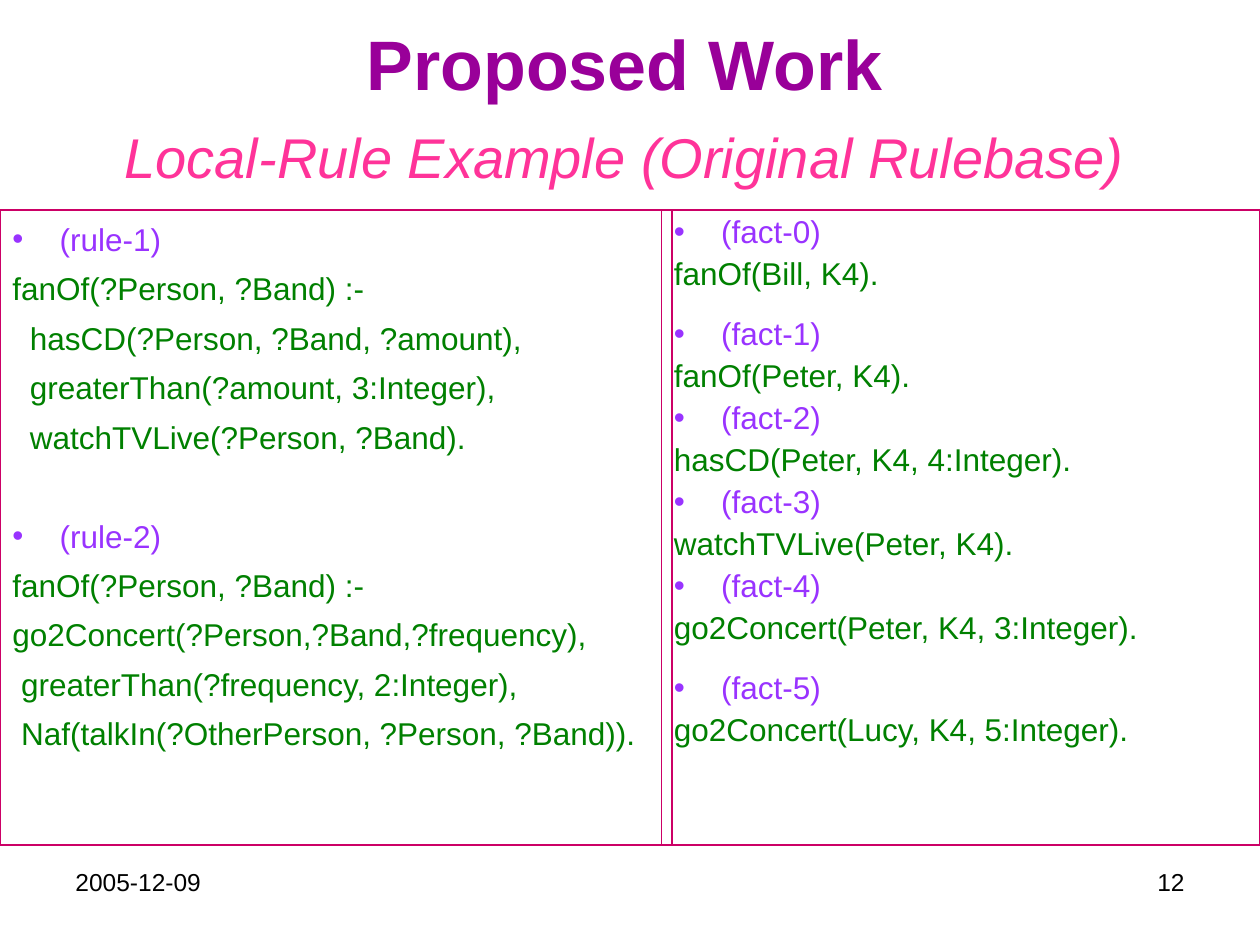
from lxml import etree
from pptx import Presentation
from pptx.dml.color import RGBColor
from pptx.enum.shapes import MSO_SHAPE as SHAPE
from pptx.enum.text import MSO_ANCHOR as ANCHOR, PP_ALIGN as ALIGN
from pptx.oxml.ns import qn
from pptx.util import Pt

COLORS = {"title": "990099", "subtitle": "FF3399", "label": "9933FF",
          "code": "008000", "border": "CC0066", "footer": "000000"}
HANG = 27      # hanging indent of bullets and code
SPACE = 5      # one step of code indentation
BEFORE = 4.5   # space above each line

deck = Presentation()
deck.slide_width, deck.slide_height = Pt(720), Pt(540)
slide = deck.slides.add_slide(deck.slide_layouts[6])


def add_line(frame, text, size, color, align=ALIGN.LEFT, **font):
    """Add a paragraph, using the empty first one when there is one."""
    first = frame.paragraphs[0]
    line = frame.add_paragraph() if first.runs else first
    line.alignment = align
    run = line.add_run()
    run.text = text
    run.font.color.rgb = RGBColor.from_string(COLORS[color])
    for name, value in {"name": "Arial", "size": Pt(size), **font}.items():
        setattr(run.font, name, value)
    return line


def set_indent(line, steps, bullet):
    props = line._p.get_or_add_pPr()
    props.set("marL", str(Pt(HANG + steps * SPACE)))
    props.set("indent", str(-Pt(HANG)))
    if bullet:
        color = etree.SubElement(props, qn("a:buClr"))
        etree.SubElement(color, qn("a:srgbClr"), val=COLORS["label"])
        etree.SubElement(props, qn("a:buFont"), typeface="Arial")
        etree.SubElement(props, qn("a:buChar"), char="•")
    else:
        etree.SubElement(props, qn("a:buNone"))


# Heading
heading = slide.shapes.add_textbox(Pt(12), Pt(12), Pt(690), Pt(96)).text_frame
heading.word_wrap = True
heading.margin_top = heading.margin_bottom = 0
add_line(heading, "Proposed Work", 40, "title", ALIGN.CENTER, bold=True)
subtitle = add_line(heading, "Local-Rule Example (Original Rulebase)", 32,
                    "subtitle", ALIGN.CENTER, italic=True)
subtitle.space_before = Pt(10)

# Each clause: label, extra space above it, code lines with their indent steps
rules = [
    ("(rule-1)", 0, [("fanOf(?Person, ?Band) :-", 0),
                     ("hasCD(?Person, ?Band, ?amount),", 2),
                     ("greaterThan(?amount, 3:Integer),", 2),
                     ("watchTVLive(?Person, ?Band).", 2)]),
    ("(rule-2)", 28.2, [("fanOf(?Person, ?Band) :-", 0),
                        ("go2Concert(?Person,?Band,?frequency),", 0),
                        ("greaterThan(?frequency, 2:Integer),", 1),
                        ("Naf(talkIn(?OtherPerson, ?Person, ?Band)).", 1)]),
]
facts = [
    ("(fact-0)", 0, [("fanOf(Bill, K4).", 0)]),
    ("(fact-1)", 10.6, [("fanOf(Peter, K4).", 0)]),
    ("(fact-2)", 0, [("hasCD(Peter, K4, 4:Integer).", 0)]),
    ("(fact-3)", 0, [("watchTVLive(Peter, K4).", 0)]),
    ("(fact-4)", 0, [("go2Concert(Peter, K4, 3:Integer).", 0)]),
    ("(fact-5)", 10.6, [("go2Concert(Lucy, K4, 5:Integer).", 0)]),
]

# Rule and fact panels
for left, width, spacing, clauses in [(0, 384, 1.1, rules), (378, 342, 0.9, facts)]:
    panel = slide.shapes.add_shape(SHAPE.RECTANGLE, Pt(left), Pt(120), Pt(width), Pt(363))
    panel.shadow.inherit = False
    panel.fill.background()
    panel.line.color.rgb = RGBColor.from_string(COLORS["border"])
    panel.line.width = Pt(0.75)
    frame = panel.text_frame
    frame.word_wrap = True
    frame.vertical_anchor = ANCHOR.TOP
    for label, gap, code in clauses:
        for text, steps in [(label, 0), *code]:
            is_label = text == label
            line = add_line(frame, text, 18, "label" if is_label else "code")
            line.line_spacing = spacing
            line.space_before = Pt(BEFORE + gap if is_label else BEFORE)
            set_indent(line, steps, is_label)

# Footer
for left, text, align in [(516, "12", ALIGN.RIGHT), (36, "2005-12-09", ALIGN.LEFT)]:
    footer = slide.shapes.add_textbox(Pt(left), Pt(492), Pt(168), Pt(37.5)).text_frame
    footer.word_wrap = True
    add_line(footer, text, 14, "footer", align)

deck.save("out.pptx")
